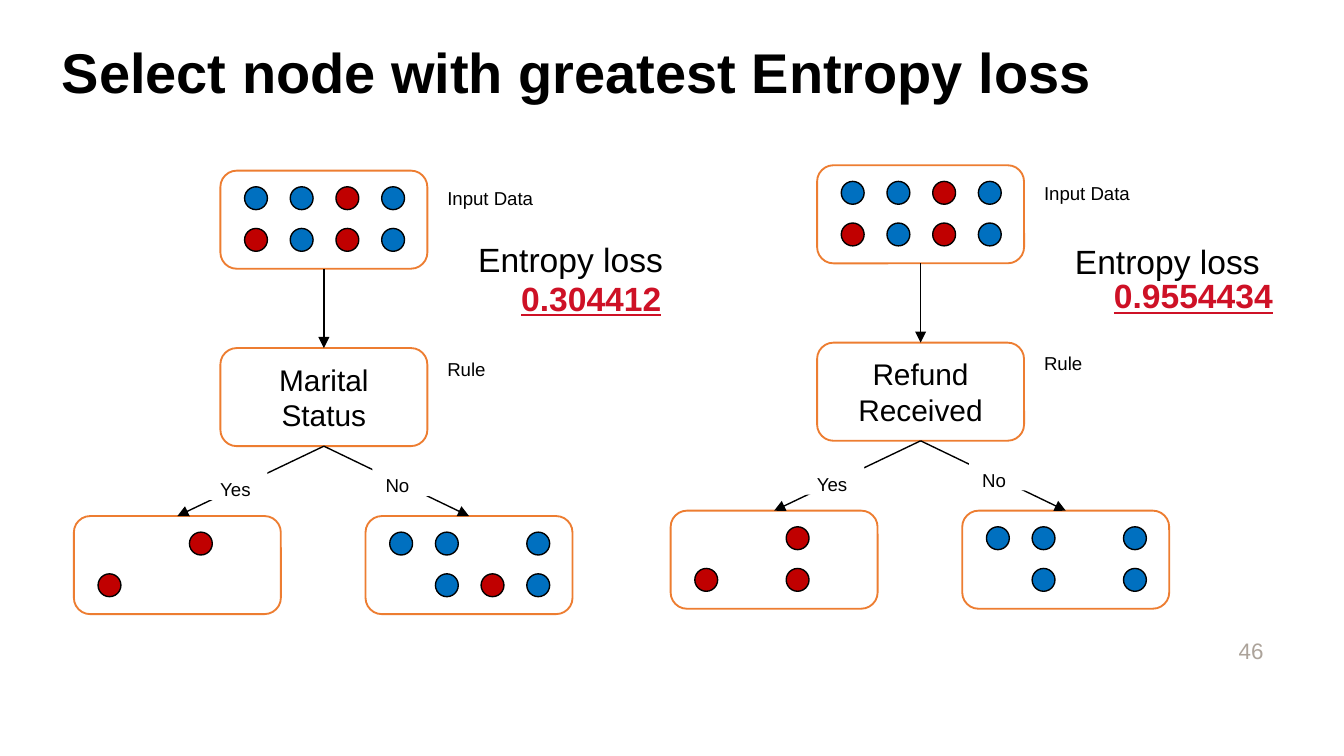
from dataclasses import dataclass

from lxml.etree import SubElement
from pptx import Presentation
from pptx.dml.color import RGBColor
from pptx.enum.shapes import MSO_CONNECTOR, MSO_SHAPE
from pptx.enum.text import MSO_ANCHOR, PP_ALIGN
from pptx.oxml.ns import qn
from pptx.util import Inches, Pt


@dataclass(frozen=True)
class Theme:
    font: str = "Arial"
    black: str = "000000"
    white: str = "FFFFFF"
    blue: str = "0070C0"
    red: str = "C00000"
    orange: str = "ED7D31"
    crimson: str = "CE1126"
    grey: str = "ACA39A"
    title_size: float = 30
    entropy_size: float = 18
    rule_size: float = 16
    number_size: float = 12
    label_size: float = 10


@dataclass(frozen=True)
class Tree:
    """Dot patterns have one string per row: B is blue, R is red, a space is empty."""
    left: float
    top: float
    rule: str
    yes_dots: tuple
    no_dots: tuple
    entropy_loss: str
    caption_at: tuple
    value_at: tuple


THEME = Theme()
BOX_WIDTH, BOX_HEIGHT = 1.54, 0.73
INPUT_DOTS = ("BBRB", "RBRB")
DOT_COLORS = {"B": THEME.blue, "R": THEME.red}
DOT_SIZE, DOT_STEP_X, DOT_STEP_Y = 0.17, 0.34, 0.31

TREES = (
    Tree(0.55, 1.27, "Marital Status", ("  R ", "R   "), ("BB B", " BRB"),
         "0.304412", (3.46, 1.73), (3.78, 2.02)),
    Tree(4.99, 1.23, "Refund Received", ("  R ", "R R "), ("BB B", " B B"),
         "0.9554434", (7.9, 1.74), (8.19, 2)),
)


def write_text(shape, text, size, color=THEME.black, bold=False, underline=False,
               align=PP_ALIGN.LEFT, anchor=MSO_ANCHOR.TOP):
    frame = shape.text_frame
    frame.word_wrap = True
    frame.vertical_anchor = anchor
    paragraph = frame.paragraphs[0]
    paragraph.alignment = align
    run = paragraph.add_run()
    run.text = text
    font = run.font
    font.name, font.size = THEME.font, Pt(size)
    font.bold, font.underline = bold, underline
    font.color.rgb = RGBColor.from_string(color)
    return paragraph


def add_title(slide, text):
    title = slide.shapes.title
    title.left, title.top = Inches(0.36), Inches(0.09)
    title.width, title.height = Inches(9.42), Inches(0.94)
    paragraph = write_text(title, text, THEME.title_size, bold=True, anchor=MSO_ANCHOR.MIDDLE)
    paragraph.line_spacing = 0.9


def add_text(slide, left, top, width, height, text, size, **text_format):
    box = slide.shapes.add_textbox(Inches(left), Inches(top), Inches(width), Inches(height))
    write_text(box, text, size, **text_format)


def add_filled_shape(slide, kind, left, top, width, height, fill, line=None, line_width=1):
    shape = slide.shapes.add_shape(kind, Inches(left), Inches(top), Inches(width), Inches(height))
    shape.shadow.inherit = False
    shape.fill.solid()
    shape.fill.fore_color.rgb = RGBColor.from_string(fill)
    if line:
        shape.line.color.rgb = RGBColor.from_string(line)
        shape.line.width = Pt(line_width)
    else:
        shape.line.fill.background()
    return shape


def add_node(slide, left, top):
    return add_filled_shape(slide, MSO_SHAPE.ROUNDED_RECTANGLE, left, top,
                            BOX_WIDTH, BOX_HEIGHT, THEME.white, THEME.orange)


def add_data_node(slide, left, top, dots):
    """Draw a node with its samples on a grid of four columns and two rows."""
    add_node(slide, left, top)
    for row, pattern in enumerate(dots):
        for column, mark in enumerate(pattern):
            if mark in DOT_COLORS:
                add_filled_shape(slide, MSO_SHAPE.OVAL,
                                 left + 0.18 + column * DOT_STEP_X,
                                 top + 0.12 + row * DOT_STEP_Y,
                                 DOT_SIZE, DOT_SIZE, DOT_COLORS[mark], THEME.black, 0.75)


def add_label(slide, left, top, width, text):
    label = add_filled_shape(slide, MSO_SHAPE.RECTANGLE, left, top, width, 0.21, THEME.white)
    write_text(label, text, THEME.label_size)


def add_arrow(slide, start, end):
    arrow = slide.shapes.add_connector(MSO_CONNECTOR.STRAIGHT,
                                       *(Inches(value) for value in start + end))
    arrow.line.color.rgb = RGBColor.from_string(THEME.black)
    arrow.line.width = Pt(0.75)
    properties = arrow._element.spPr
    SubElement(properties.find(qn("a:ln")), qn("a:tailEnd"), type="triangle")
    SubElement(properties, qn("a:effectLst"))


def add_tree(slide, tree):
    root_left = tree.left + 1.09
    no_left = tree.left + 2.17
    rule_top = tree.top + 1.32
    leaf_top = tree.top + 2.57
    half = BOX_WIDTH / 2
    center = root_left + half
    rule_bottom = (center, rule_top + BOX_HEIGHT)

    add_data_node(slide, root_left, tree.top, INPUT_DOTS)
    rule = add_node(slide, root_left, rule_top)
    write_text(rule, tree.rule, THEME.rule_size, align=PP_ALIGN.CENTER, anchor=MSO_ANCHOR.MIDDLE)
    add_data_node(slide, tree.left, leaf_top, tree.yes_dots)
    add_data_node(slide, no_left, leaf_top, tree.no_dots)

    add_arrow(slide, (center, tree.top + BOX_HEIGHT), (center, rule_top))
    add_arrow(slide, rule_bottom, (tree.left + half, leaf_top))
    add_arrow(slide, rule_bottom, (no_left + half, leaf_top))

    add_label(slide, tree.left + 0.99, tree.top + 2.24, 0.45, "Yes")
    add_label(slide, tree.left + 2.22, tree.top + 2.21, 0.45, "No")
    add_label(slide, tree.left + 2.68, tree.top + 0.07, 1.26, "Input Data")
    add_label(slide, tree.left + 2.68, tree.top + 1.34, 1.26, "Rule")

    add_text(slide, *tree.caption_at, 2, 0.4, "Entropy loss", THEME.entropy_size)
    add_text(slide, *tree.value_at, 1.7, 0.4, tree.entropy_loss, THEME.entropy_size,
             color=THEME.crimson, bold=True, underline=True)


def main():
    presentation = Presentation()
    presentation.slide_width = Inches(10)
    presentation.slide_height = presentation.slide_width * 9 // 16
    slide = presentation.slides.add_slide(presentation.slide_layouts[5])
    add_title(slide, "Select node with greatest Entropy loss")
    for tree in TREES:
        add_tree(slide, tree)
    add_text(slide, 7.17, 4.69, 2.33, 0.3, "46", THEME.number_size, color=THEME.grey,
             align=PP_ALIGN.RIGHT, anchor=MSO_ANCHOR.MIDDLE)
    presentation.save("out.pptx")


if __name__ == "__main__":
    main()
